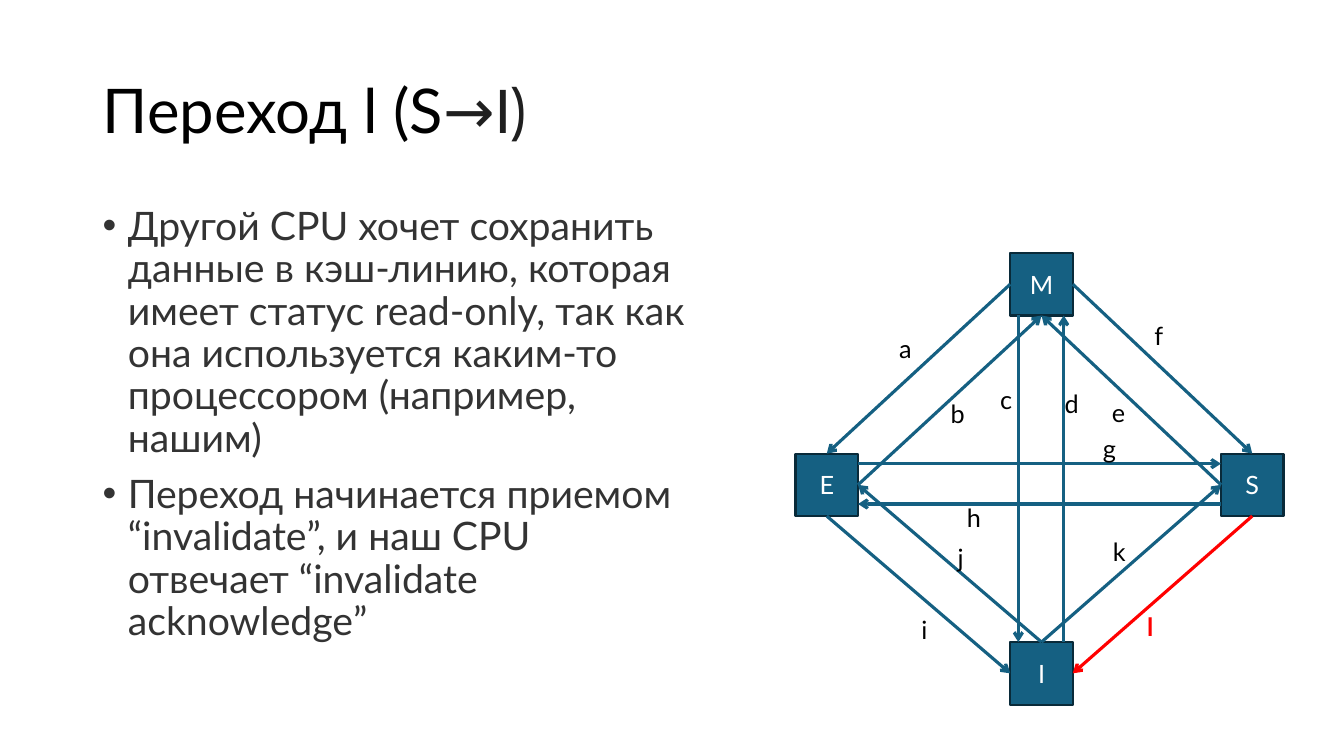
from lxml import etree
from pptx import Presentation
from pptx.dml.color import RGBColor
from pptx.enum.shapes import MSO_CONNECTOR, MSO_SHAPE
from pptx.enum.text import MSO_ANCHOR, PP_ALIGN
from pptx.oxml.ns import qn
from pptx.util import Inches, Pt

STRAIGHT, RECTANGLE = MSO_CONNECTOR.STRAIGHT, MSO_SHAPE.RECTANGLE
TOP_ANCHOR, MIDDLE_ANCHOR = MSO_ANCHOR.TOP, MSO_ANCHOR.MIDDLE
LEFT_ALIGN, CENTER_ALIGN = PP_ALIGN.LEFT, PP_ALIGN.CENTER

BLACK = RGBColor(0x00, 0x00, 0x00)
WHITE = RGBColor(0xFF, 0xFF, 0xFF)
CHARCOAL = RGBColor(0x1F, 0x1F, 0x1F)
GRAY = RGBColor(0x33, 0x33, 0x33)
TEAL = RGBColor(0x15, 0x60, 0x82)
DARK_TEAL = RGBColor(0x09, 0x2A, 0x39)
RED = RGBColor(0xFF, 0x00, 0x00)

prs = Presentation()
prs.slide_width, prs.slide_height = Inches(13.33), Inches(7.5)
slide = prs.slides.add_slide(prs.slide_layouts[6])


def write(frame, text, size=18, font="Lato", color=BLACK, bold=False, align=LEFT_ALIGN,
          anchor=TOP_ANCHOR, spacing=1.0, before=0, bullet=False, tail=None):
    """Write one paragraph per line; tail is (text, font, color) of a closing run."""
    frame.word_wrap = True
    frame.vertical_anchor = anchor
    for number, line in enumerate(text.split("\n")):
        paragraph = frame.add_paragraph() if number else frame.paragraphs[0]
        paragraph.alignment = align
        paragraph.line_spacing = spacing
        paragraph.space_before = Pt(before)
        if bullet:
            properties = paragraph._p.get_or_add_pPr()
            properties.set("marL", str(Inches(0.25)))
            properties.set("indent", str(-Inches(0.25)))
            etree.SubElement(properties, qn("a:buFont")).set("typeface", "Arial")
            etree.SubElement(properties, qn("a:buChar")).set("char", "•")
        runs = [(line, font, color)] + ([tail] if tail else [])
        for run_text, run_font, run_color in runs:
            run = paragraph.add_run()
            run.text = run_text
            run.font.name, run.font.size, run.font.bold = run_font, Pt(size), bold
            run.font.color.rgb = run_color


def add_arrow(start, end, color=TEAL):
    """Draw an arrow between two (x, y) points in inches."""
    arrow = slide.shapes.add_connector(STRAIGHT, *(Inches(v) for v in (*start, *end)))
    arrow.line.color.rgb = color
    arrow.line.width = Pt(2.25)
    etree.SubElement(arrow.line._get_or_add_ln(), qn("a:tailEnd")).set("type", "arrow")
    etree.SubElement(arrow._element.spPr, qn("a:effectLst"))
    return arrow


# Title and explanation
title = slide.shapes.add_textbox(Inches(0.92), Inches(0.4), Inches(11.5), Inches(1.45))
write(title.text_frame, "Переход l (S", size=44, anchor=MIDDLE_ANCHOR, spacing=0.9,
      tail=("→I)", "Cabin", CHARCOAL))

explanation = slide.shapes.add_textbox(Inches(0.92), Inches(2), Inches(6.12), Inches(4.76))
write(explanation.text_frame,
      "Другой CPU хочет сохранить данные в кэш-линию, которая имеет статус read-only, "
      "так как она используется каким-то процессором (например, нашим)\n"
      "Переход начинается приемом “invalidate”, и наш CPU отвечает “invalidate acknowledge”",
      size=28, color=GRAY, spacing=0.9, before=10, bullet=True)

# Cache-line states
STATE_SIZE = 0.62
CORNERS = {"M": (10.02, 2.51), "S": (12.11, 4.5), "I": (10.02, 6.37), "E": (7.89, 4.5)}
states = {}
for name, (x, y) in CORNERS.items():
    state = slide.shapes.add_shape(RECTANGLE, Inches(x), Inches(y),
                                   Inches(STATE_SIZE), Inches(STATE_SIZE))
    state.shadow.inherit = False
    state.fill.solid()
    state.fill.fore_color.rgb = TEAL
    state.line.color.rgb = DARK_TEAL
    state.line.width = Pt(1.5)
    write(state.text_frame, name, color=WHITE, align=CENTER_ALIGN, anchor=MIDDLE_ANCHOR)
    states[name] = state

# Diagonal transitions, glued to the sides of the states
TOP, LEFT, BOTTOM, RIGHT = range(4)
DIAGONALS = [
    ("M", RIGHT, "S", TOP, TEAL), ("S", LEFT, "M", BOTTOM, TEAL),
    ("S", BOTTOM, "I", RIGHT, RED), ("I", TOP, "S", LEFT, TEAL),
    ("I", TOP, "E", RIGHT, TEAL), ("E", BOTTOM, "I", LEFT, TEAL),
    ("M", LEFT, "E", TOP, TEAL), ("E", RIGHT, "M", BOTTOM, TEAL),
]
for source, source_side, target, target_side, color in DIAGONALS:
    transition = add_arrow(CORNERS[source], CORNERS[target], color)
    transition.begin_connect(states[source], source_side)
    transition.end_connect(states[target], target_side)

# Opposite transitions across the middle
m_bottom, i_top = CORNERS["M"][1] + STATE_SIZE, CORNERS["I"][1]
e_right, s_left = CORNERS["E"][0] + STATE_SIZE, CORNERS["S"][0]
add_arrow((10.55, i_top), (10.55, m_bottom))
add_arrow((10.1, m_bottom), (10.1, i_top))
add_arrow((s_left, 5), (e_right, 5))
add_arrow((e_right, 4.6), (s_left, 4.6))

# Transition letters
LETTERS = {
    "a": (8.82, 3.26), "b": (9.33, 3.9), "c": (9.82, 3.76), "d": (10.46, 3.8),
    "e": (10.93, 3.89), "f": (11.35, 3.13), "g": (10.84, 4.25), "h": (9.49, 4.93),
    "i": (9.04, 6.05), "j": (9.4, 5.33), "k": (10.94, 5.27), "l": (11.28, 6.02),
}
for letter, (x, y) in LETTERS.items():
    label = slide.shapes.add_textbox(Inches(x), Inches(y), Inches(0.61), Inches(0.4))
    current = letter == "l"
    write(label.text_frame, letter, color=RED if current else BLACK, bold=current)

prs.save("out.pptx")
